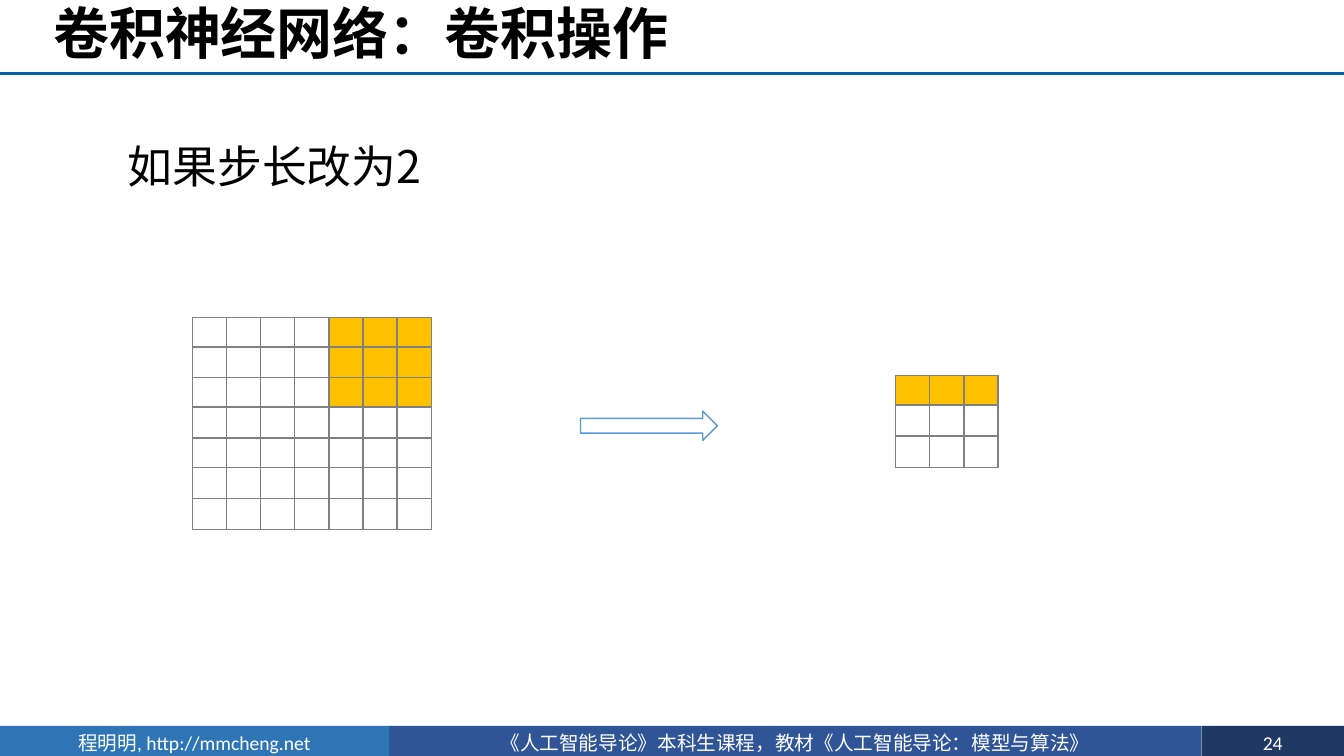
import pptx
import pptx.dml.color
import pptx.enum.lang
import pptx.enum.shapes
import pptx.enum.text
import pptx.oxml
import pptx.oxml.ns
import pptx.util
from dataclasses import dataclass
from pptx.util import Cm


@dataclass(frozen=True)
class Theme:
    ink: str = "000000"
    paper: str = "FFFFFF"
    rule: str = "0062AC"
    author_band: str = "2E75B6"
    course_band: str = "2F5597"
    number_band: str = "203864"
    cell_line: str = "808080"
    highlight: str = "FFC000"
    arrow_line: str = "5B9BD5"
    title_size: int = 40
    body_size: int = 32
    footer_size: int = 14
    title_font: str = "Times New Roman"
    body_font: str = "Noto Sans CJK SC"
    footer_font: str = "Calibri"


THEME = Theme()
SHAPES = pptx.enum.shapes.MSO_SHAPE
ALIGN = pptx.enum.text.PP_ALIGN
ANCHOR = pptx.enum.text.MSO_ANCHOR
CELL_WIDTH = 0.86
CELL_HEIGHT = 0.79
ROW_PITCH = 0.76


def rgb(color):
    return pptx.dml.color.RGBColor.from_string(color)


def write_text(box, text, *, size, font, color=THEME.ink, bold=False,
               align=ALIGN.LEFT, anchor=ANCHOR.TOP, line_spacing=None):
    frame = box.text_frame
    frame.word_wrap = True
    frame.vertical_anchor = anchor
    para = frame.paragraphs[0]
    para.alignment = align
    para.line_spacing = line_spacing
    span = para.add_run()
    span.text = text
    span.font.size = pptx.util.Pt(size)
    span.font.name = font
    span.font.bold = bold
    span.font.color.rgb = rgb(color)
    span.font.language_id = pptx.enum.lang.MSO_LANGUAGE_ID.SIMPLIFIED_CHINESE
    east_asian = pptx.oxml.parse_xml(
        f'<a:ea {pptx.oxml.ns.nsdecls("a")} typeface="{THEME.body_font}"/>')
    span.font._element.find(pptx.oxml.ns.qn("a:latin")).addnext(east_asian)


def add_text(page, text, left, top, width, height, **style):
    box = page.shapes.add_textbox(Cm(left), Cm(top), Cm(width), Cm(height))
    write_text(box, text, **style)


def add_block(page, left, top, width, height, fill, line=None, kind=SHAPES.RECTANGLE):
    block = page.shapes.add_shape(kind, Cm(left), Cm(top), Cm(width), Cm(height))
    block.shadow.inherit = False
    block.fill.solid()
    block.fill.fore_color.rgb = rgb(fill)
    if line:
        block.line.color.rgb = rgb(line)
        block.line.width = pptx.util.Pt(1)
    else:
        block.line.fill.background()
    return block


def add_footer(page, text, left, width, fill):
    band = add_block(page, left, 18.29, width, 0.86, fill)
    write_text(band, text, size=THEME.footer_size, font=THEME.footer_font,
               color=THEME.paper, align=ALIGN.CENTER, anchor=ANCHOR.MIDDLE)


def add_rule(page, top, width):
    rule = page.shapes.add_connector(
        pptx.enum.shapes.MSO_CONNECTOR.STRAIGHT, 0, Cm(top), Cm(width), Cm(top))
    rule.line.color.rgb = rgb(THEME.rule)
    rule.line.width = pptx.util.Pt(2)
    rule._element.spPr.append(
        pptx.oxml.parse_xml(f'<a:effectLst {pptx.oxml.ns.nsdecls("a")}/>'))


def add_grid(page, left, top, count, lit_rows, lit_columns):
    for row in range(count):
        row_top = top + row * ROW_PITCH - 0.02 * (row % 2)
        for column in range(count):
            lit = row in lit_rows and column in lit_columns
            add_block(page, left + column * CELL_WIDTH, row_top, CELL_WIDTH, CELL_HEIGHT,
                      THEME.highlight if lit else THEME.paper, THEME.cell_line)


def main():
    deck = pptx.Presentation()
    deck.slide_width = Cm(33.87)
    deck.slide_height = Cm(19.05)
    page = deck.slides.add_slide(deck.slide_layouts[6])

    add_footer(page, "《人工智能导论》本科生课程，教材《人工智能导论：模型与算法》",
               9.8, 20.48, THEME.course_band)
    add_footer(page, "程明明, http://mmcheng.net", 0, 9.8, THEME.author_band)
    add_footer(page, "24", 30.28, 3.59, THEME.number_band)
    add_rule(page, 1.85, 33.87)

    add_text(page, "如果步长改为2", 2.97, 3.38, 25.83, 1.63,
             size=THEME.body_size, font=THEME.body_font)
    add_grid(page, 4.85, 8, 7, lit_rows=range(3), lit_columns=range(4, 7))
    add_block(page, 14.63, 10.36, 3.45, 0.74, THEME.paper, THEME.arrow_line,
              SHAPES.RIGHT_ARROW)
    add_grid(page, 22.57, 9.47, 3, lit_rows=range(1), lit_columns=range(3))
    add_text(page, "卷积神经网络：卷积操作", 1.09, 0, 32.77, 1.85,
             size=THEME.title_size, font=THEME.title_font, bold=True,
             anchor=ANCHOR.MIDDLE, line_spacing=0.9)

    deck.save("out.pptx")


if __name__ == "__main__":
    main()
